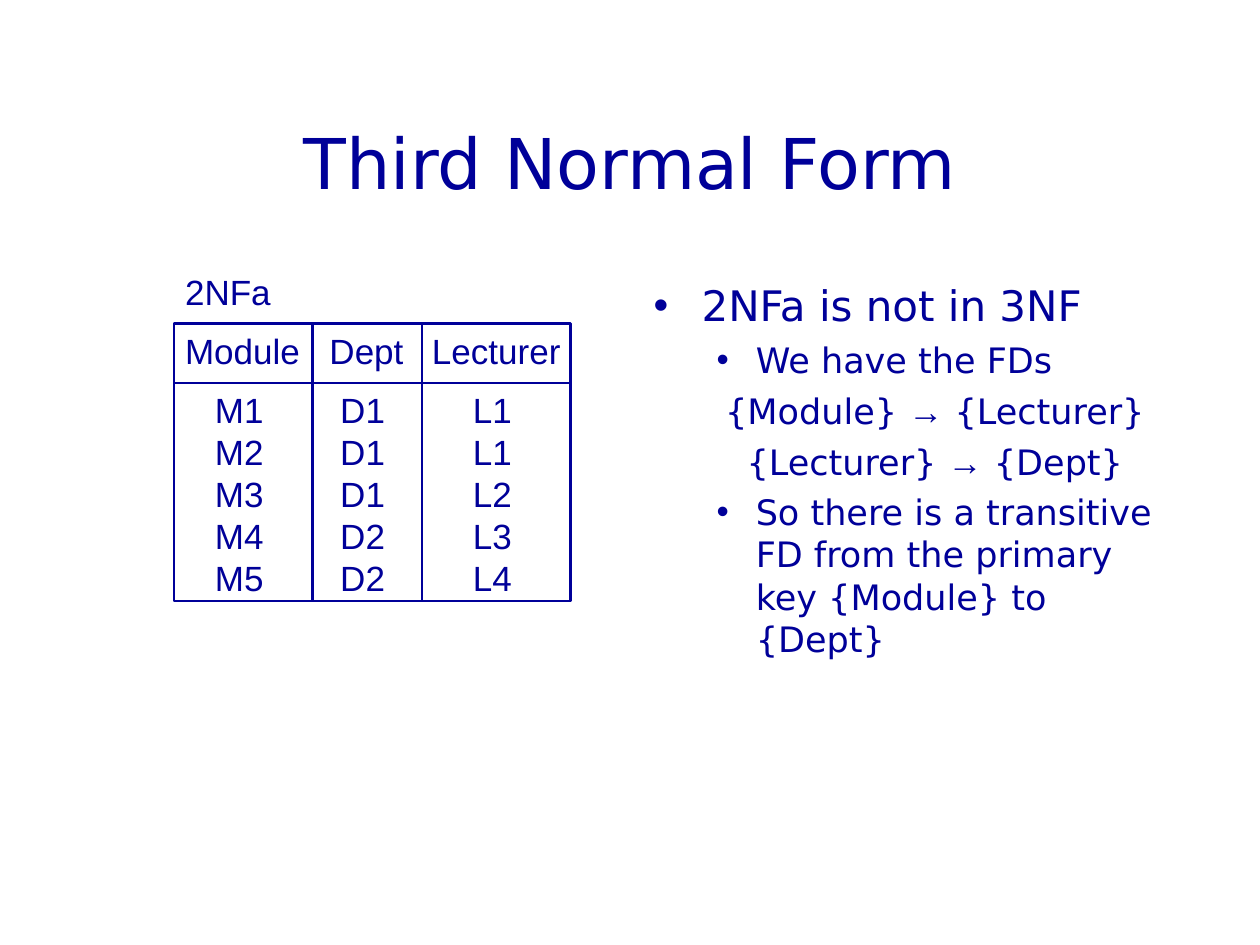
from lxml.etree import SubElement
from pptx import Presentation
from pptx.dml.color import RGBColor
from pptx.enum.shapes import MSO_CONNECTOR, MSO_SHAPE
from pptx.enum.text import MSO_ANCHOR, PP_ALIGN
from pptx.oxml.ns import qn
from pptx.util import Inches, Pt

NAVY = "000099"
SANS = "DejaVu Sans"
HEAD = ("Module", "Dept", "Lecturer")
ROWS = [
    ("M1", "D1", "L1"),
    ("M2", "D1", "L1"),
    ("M3", "D1", "L2"),
    ("M4", "D2", "L3"),
    ("M5", "D2", "L4"),
]
LEFT, TOP, RIGHT, BOTTOM = 1.38, 2.57, 4.53, 4.77


def color(value):
    return RGBColor.from_string(value)


def add_run(para, text, size, font):
    run = para.add_run()
    run.text = text
    run.font.size = Pt(size)
    run.font.name = font
    run.font.color.rgb = color(NAVY)


def add_box(slide, left, top, width, height):
    box = slide.shapes.add_textbox(*map(Inches, (left, top, width, height)))
    box.text_frame.word_wrap = True
    return box.text_frame


def add_title(slide, place, text):
    frame = add_box(slide, *place)
    frame.vertical_anchor = MSO_ANCHOR.MIDDLE
    para = frame.paragraphs[0]
    para.alignment = PP_ALIGN.CENTER
    add_run(para, text, 40, SANS)


def set_indent(para, left, hang, bullet):
    props = para._p.get_or_add_pPr()
    props.set("marL", str(Inches(left)))
    props.set("indent", str(-Inches(hang)))
    if bullet:
        SubElement(props, qn("a:buFont")).set("typeface", "Arial")
        SubElement(props, qn("a:buChar")).set("char", "•")
    else:
        SubElement(props, qn("a:buNone"))


def add_points(slide, place, points):
    """Each point is its level, whether it has a bullet, and its runs."""
    frame = add_box(slide, *place)
    for i, (level, bullet, texts) in enumerate(points):
        para = frame.add_paragraph() if i else frame.paragraphs[0]
        para.level = level
        para.space_before = Pt(5 if level else 6)
        para.alignment = PP_ALIGN.LEFT if bullet else PP_ALIGN.CENTER
        set_indent(para, *((0.81, 0.31) if level else (0.38, 0.38)), bullet)
        for text in texts:
            add_run(para, text, 20 if level else 24,
                    "Arial" if text == "→" else SANS)


def set_tabs(para, stops):
    tabs = SubElement(para._p.get_or_add_pPr(), qn("a:tabLst"))
    for stop in stops:
        tab = SubElement(tabs, qn("a:tab"))
        tab.set("pos", str(Inches(stop)))
        tab.set("algn", "ctr")


def add_rows(slide, place):
    """Write the name, the header and the rows, centred on tab stops."""
    frame = add_box(slide, *place)
    frame.word_wrap = False
    add_run(frame.paragraphs[0], "2NFa", 20, "Arial")
    for i, row in enumerate([HEAD] + ROWS):
        para = frame.add_paragraph()
        if i < 2:
            para.space_before = Pt(9.5)
        set_tabs(para, (0.43, 1.41, 2.44) if i else (1.44, 2.47))
        add_run(para, ("\t" if i else "") + "\t".join(row), 20, "Arial")


def set_line(line):
    line.color.rgb = color(NAVY)
    line.width = Pt(1.5)


def add_frame(slide):
    rect = slide.shapes.add_shape(
        MSO_SHAPE.RECTANGLE, Inches(LEFT), Inches(TOP),
        Inches(RIGHT - LEFT), Inches(BOTTOM - TOP))
    rect.shadow.inherit = False
    rect.fill.background()
    set_line(rect.line)


def add_rule(slide, x1, y1, x2, y2):
    rule = slide.shapes.add_connector(
        MSO_CONNECTOR.STRAIGHT, *map(Inches, (x1, y1, x2, y2)))
    set_line(rule.line)
    SubElement(rule._element.spPr, qn("a:effectLst"))


def add_grid(slide):
    add_rows(slide, (1.37, 2.1, 3.18, 2.7))
    add_frame(slide)
    add_rule(slide, LEFT, 3.04, RIGHT, 3.04)
    for x in (2.48, 3.35):
        add_rule(slide, x, TOP, x, BOTTOM)


def main():
    deck = Presentation()
    deck.slide_width, deck.slide_height = Inches(10), Inches(7.5)
    slide = deck.slides.add_slide(deck.slide_layouts[6])
    add_title(slide, (0.75, 0.66, 8.5, 1.25), "Third Normal Form")
    add_points(slide, (5.09, 2.17, 4.16, 4.5), [
        (0, True, ["2NFa is not in 3NF"]),
        (1, True, ["We have the FDs"]),
        (1, False, ["{Module} ", "→", " {Lecturer}"]),
        (1, False, ["{Lecturer} ", "→", " {Dept}"]),
        (1, True, ["So there is a transitive FD from the primary key "
                   "{Module} to {Dept}"]),
    ])
    add_grid(slide)
    deck.save("out.pptx")


if __name__ == "__main__":
    main()
